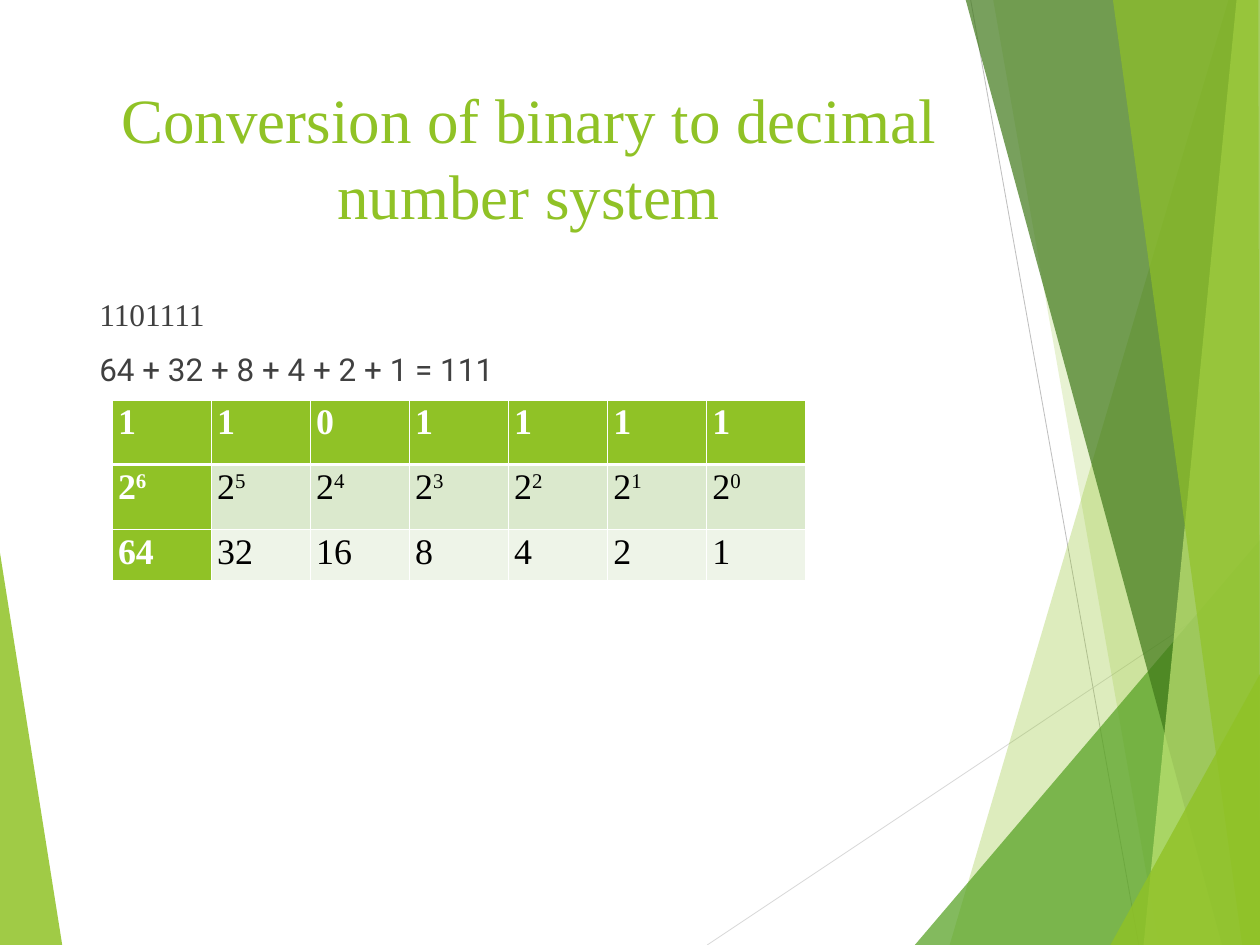
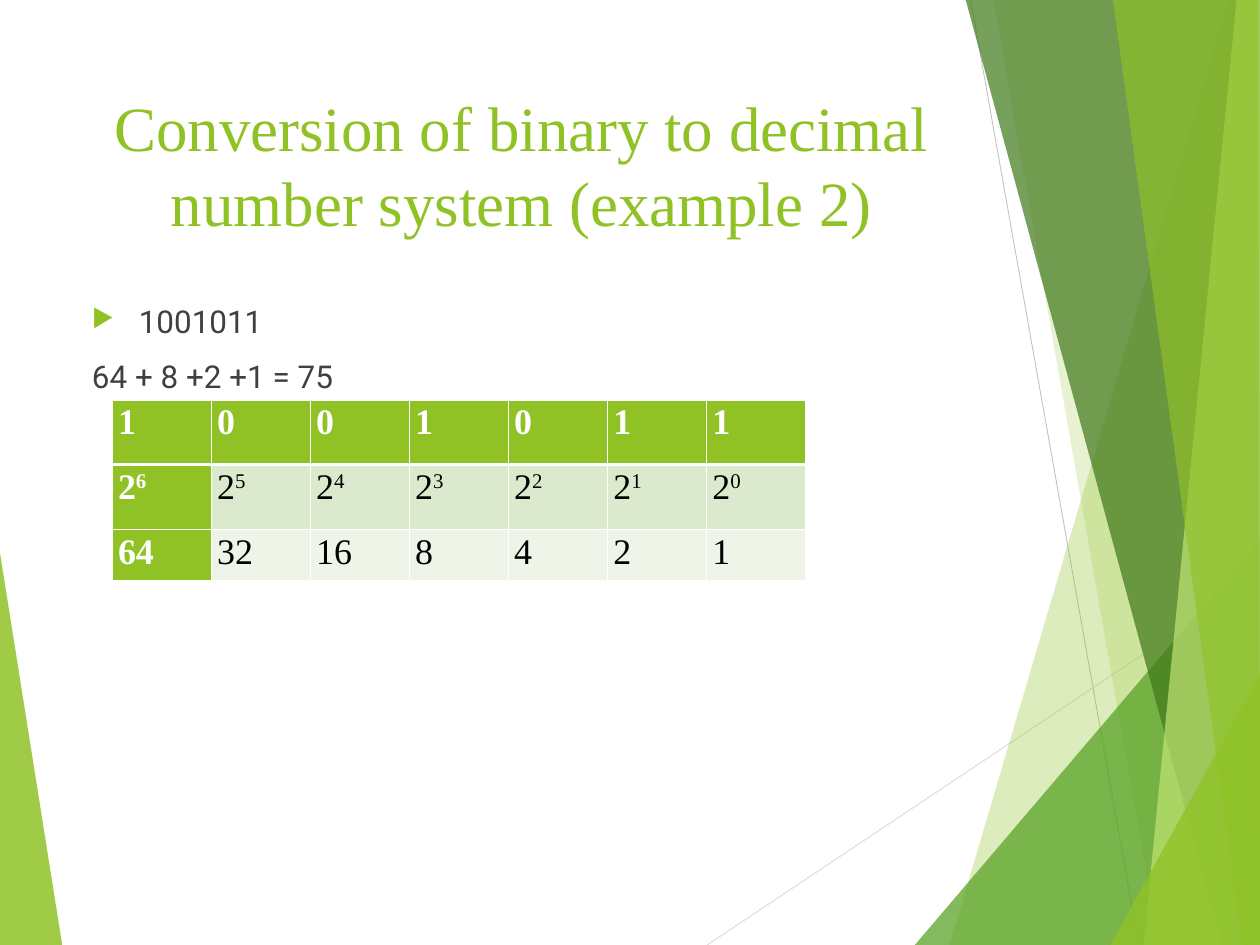
from lxml.etree import SubElement
from pptx import Presentation
from pptx.dml.color import RGBColor
from pptx.enum.shapes import MSO_CONNECTOR
from pptx.enum.text import MSO_ANCHOR, PP_ALIGN
from pptx.oxml.ns import qn
from pptx.util import Inches, Pt

LINE = MSO_CONNECTOR.STRAIGHT
TOP = MSO_ANCHOR.TOP
LEFT, MID = PP_ALIGN.LEFT, PP_ALIGN.CENTER

LIME, LEAF, PINE, PALE = "90C226", "54A021", "3F7819", "C0E474"
WHITE, BLACK, GREY = "FFFFFF", "000000", "404040"
BANDS = [LIME, "DBE9CD", "EEF4E8"]
SERIF, SANS = "Times New Roman", "Roboto"

deck = Presentation()
deck.slide_width, deck.slide_height = Inches(15.59), Inches(11.69)
# Grid: one hundred columns and one hundred rows
COL, ROW = deck.slide_width / 100, deck.slide_height / 100

# Facets: fill, opacity in percent, corners in grid units
FACETS = [
    (LIME, 85, [(0, 58.5), (4.94, 100), (0, 100)]),
    (LIME, 30, [(97.5, 0), (75.37, 100), (100, 100), (100, 0)]),
    (LIME, 20, [(78.83, 0), (91.98, 100), (100, 100), (100, 0)]),
    (LEAF, 72, [(72.61, 100), (100, 57.14), (100, 100)]),
    (PINE, 70, [(76.65, 0), (96.99, 100), (100, 100), (100, 0)]),
    (PALE, 70, [(98.14, 0), (90.76, 100), (100, 100), (100, 0)]),
    (LIME, 65, [(88.33, 0), (98.59, 100), (100, 100), (99.87, 0)]),
    (LIME, 80, [(88.13, 100), (100, 71.34), (100, 100)]),
]
RULES = [("D9D9D9", 56.13, 100, 100, 61), ("BFBFBF", 77.04, 0, 90.38, 100)]

# Slides: left and top of the text, title, body lines, bits
# A body line holds its text, font and whether it has a bullet
TITLE = "Conversion of binary to decimal number system"
PAGES = [
    (7.25, 8.13, TITLE,
     [("1101111", SERIF, False),
      ("64 + 32 + 8 + 4 + 2 + 1 = 111", SANS, False)], "1101111"),
    (6.67, 8.9, TITLE + " (example 2)",
     [("1001011", SANS, True), ("64 + 8 +2 +1 = 75", SANS, False)], "1001011"),
]


def hue(code):
    return RGBColor.from_string(code)


def write(para, text, size=32, font=SERIF, color=BLACK, bold=False,
          sup=False, align=LEFT):
    para.alignment = align
    run = para.add_run()
    run.text = text
    run.font.size, run.font.name, run.font.bold = Pt(size), font, bold
    run.font.color.rgb = hue(color)
    if sup:
        run._r.get_or_add_rPr().set("baseline", "30000")


for left, top, title, lines, bits in PAGES:
    slide = deck.slides.add_slide(deck.slide_layouts[6])
    shapes = slide.shapes

    # Backdrop: the left wedge, two thin rules, then the right facets
    for n, (color, alpha, dots) in enumerate(FACETS):
        spots = [(round(x * COL), round(y * ROW)) for x, y in dots]
        path = shapes.build_freeform(*spots[0], scale=1.0)
        path.add_line_segments(spots[1:], close=True)
        facet = path.convert_to_shape()
        facet.shadow.inherit = False
        facet.line.fill.background()
        facet.fill.solid()
        facet.fill.fore_color.rgb = hue(color)
        tint = facet._element.spPr.find(".//" + qn("a:srgbClr"))
        SubElement(tint, qn("a:alpha"), val=str(alpha * 1000))
        if n == 0:
            for shade, x1, y1, x2, y2 in RULES:
                rule = shapes.add_connector(
                    LINE, round(x1 * COL), round(y1 * ROW),
                    round(x2 * COL), round(y2 * ROW))
                rule.line.color.rgb = hue(shade)
                rule.line.width = Pt(0.75)
                SubElement(rule._element.spPr, qn("a:effectLst"))

    # Title and body frames
    frames = []
    for y, high in [(top, 19.25), (top + 22.65, 56.63)]:
        box = shapes.add_textbox(round(left * COL), round(y * ROW),
                                 round(69.4 * COL), round(high * ROW))
        box.text_frame.word_wrap = True
        box.text_frame.vertical_anchor = TOP
        frames.append(box.text_frame)
    head, body = frames
    write(head.paragraphs[0], title, size=56.1, color=LIME, align=MID)

    # Body lines
    for n, (text, font, mark) in enumerate(lines):
        para = body.add_paragraph() if n else body.paragraphs[0]
        para.space_before = Pt(15.6)
        write(para, text, size=28, font=font, color=GREY)
        if mark:
            props = para._p.get_or_add_pPr()
            props.set("marL", str(Inches(0.58)))
            props.set("indent", str(-Inches(0.58)))
            SubElement(SubElement(props, qn("a:buClr")),
                       qn("a:srgbClr"), val=LIME)
            SubElement(props, qn("a:buSzPct"), val="80000")
            SubElement(props, qn("a:buChar"), char="▶")

    # Place value table: bits, powers of two, values
    count = len(bits)
    table = shapes.add_table(3, count, round(8.92 * COL), round(42.34 * ROW),
                             round(55.04 * COL), round(19.07 * ROW)).table
    table.horz_banding = False
    for r, high in enumerate([6.84, 6.84, 5.39]):
        table.rows[r].height = round(high * ROW)
        for c, bit in enumerate(bits):
            power = count - 1 - c
            cell = table.cell(r, c)
            cell.margin_left = cell.margin_right = Inches(0.07)
            cell.margin_top = cell.margin_bottom = 0

            # Borders, heavy below the first row
            props = cell._tc.get_or_add_tcPr()
            for side in "LRTB":
                heavy = (r, side) in [(0, "B"), (1, "T")]
                edge = SubElement(props, qn("a:ln" + side),
                                  w=str(Pt(3 if heavy else 1)))
                SubElement(SubElement(edge, qn("a:solidFill")),
                           qn("a:srgbClr"), val=WHITE)

            # Fill and text, the first row and column stand out
            lead = r == 0 or c == 0
            cell.fill.solid()
            cell.fill.fore_color.rgb = hue(LIME if lead else BANDS[r])
            para = cell.text_frame.paragraphs[0]
            para.line_spacing, para.space_after = 1.07, Pt(8)
            look = {"color": WHITE if lead else BLACK, "bold": lead}
            write(para, [bit, "2", str(2 ** power)][r], **look)
            if r == 1:
                write(para, str(power), sup=True, **look)

deck.save("out.pptx")
